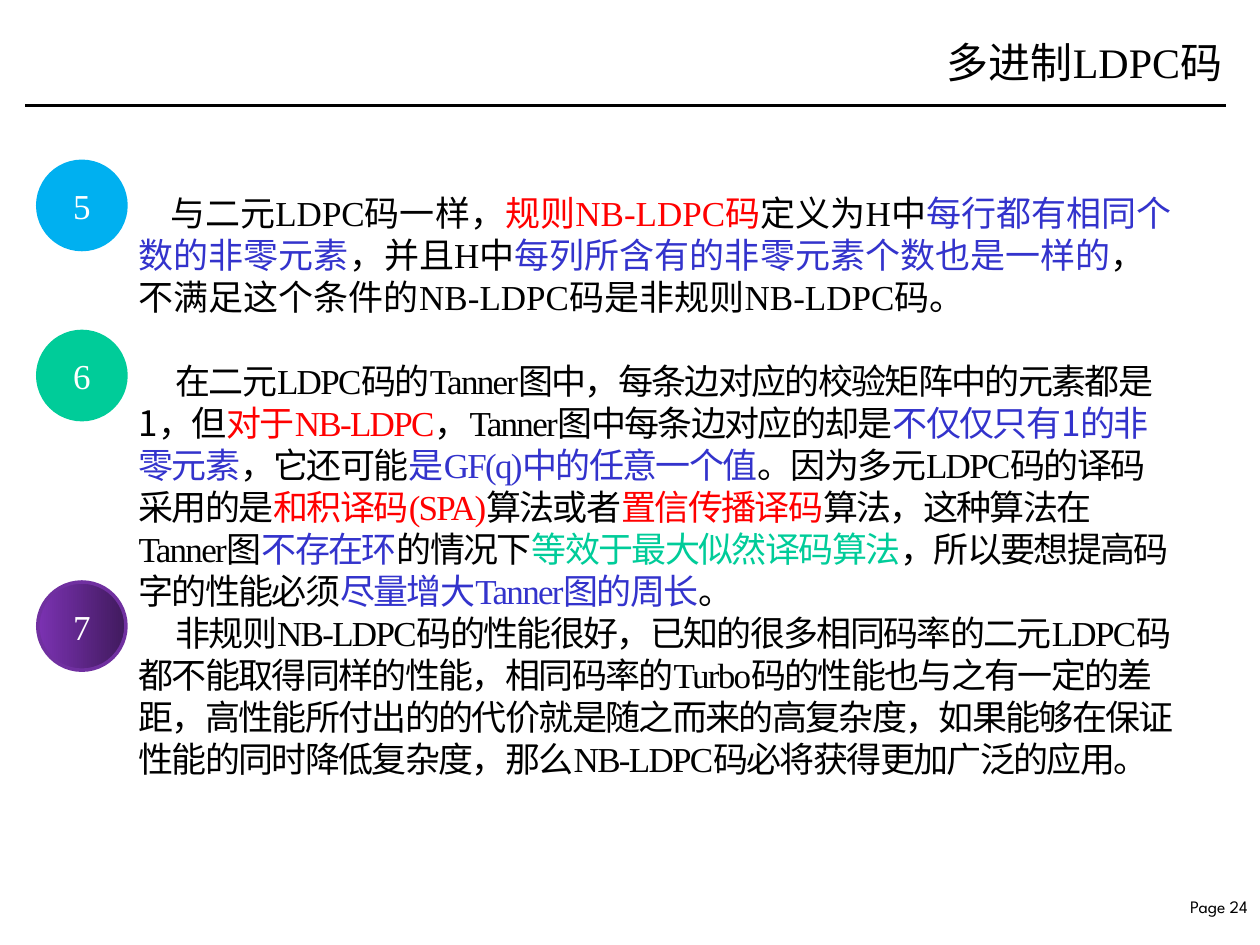
import itertools
from dataclasses import dataclass

import pptx
import pptx.dml.color
import pptx.enum.shapes
import pptx.enum.text
import pptx.oxml.ns
import pptx.util
from lxml import etree

Pt = pptx.util.Pt
qn = pptx.oxml.ns.qn
ALIGN = pptx.enum.text.PP_ALIGN
MIDDLE = pptx.enum.text.MSO_ANCHOR.MIDDLE


@dataclass(frozen=True)
class Theme:
    black: str = "000000"
    white: str = "FFFFFF"
    red: str = "FF0000"
    blue: str = "3333CC"
    green: str = "00CC99"
    sky: str = "00B0F0"
    plum: str = "7030A0"
    fade: tuple = ("7B32B2", "401A5D")
    serif: str = "Times New Roman"
    hans: str = "Noto Sans CJK SC"
    foot: str = "League Spartan"
    head_size: int = 24
    text_size: int = 20
    foot_size: int = 10
    pitch: int = 24


T = Theme()
K, R, B, G = T.black, T.red, T.blue, T.green

RULES = [
    (K, "与二元LDPC码一样，"), (R, "规则NB-LDPC码"), (K, "定义为H中"),
    (B, "每行都有相同个数的非零元素"), (K, "，并且H中"),
    (B, "每列所含有的非零元素个数也是一样的"),
    (K, "，不满足这个条件的NB-LDPC码是非规则NB-LDPC码。"),
]
GRAPH = [
    (K, "在二元LDPC码的Tanner图中，每条边对应的校验矩阵中的元素都是1，但"),
    (R, "对于NB-LDPC"), (K, "，Tanner图中每条边对应的却是"),
    (B, "不仅仅只有1的非零元素"), (K, "，它还可能"),
    (B, "是GF(q)中的任意一个值"), (K, "。因为多元LDPC码的译码采用的是"),
    (R, "和积译码(SPA)"), (K, "算法或者"), (R, "置信传播译码"),
    (K, "算法，这种算法在Tanner图"), (B, "不存在环"), (K, "的情况下"),
    (G, "等效于最大似然译码算法"), (K, "，所以要想提高码字的性能必须"),
    (B, "尽量增大Tanner图的周长"), (K, "。"),
]
VALUE = [
    (K, "非规则NB-LDPC码的性能很好，已知的很多相同码率的二元LDPC码都不能取得同样的性能，"
        "相同码率的Turbo码的性能也与之有一定的差距，高性能所付出的的代价就是随之而来的高复杂度，"
        "如果能够在保证性能的同时降低复杂度，那么NB-LDPC码必将获得更加广泛的应用。"),
]


def rgb(code):
    return pptx.dml.color.RGBColor.from_string(code)


def style(run, size, color, face):
    run.font.size = Pt(size)
    run.font.color.rgb = rgb(color)
    run.font.name = face
    east = etree.SubElement(run.font._element, qn("a:ea"))
    east.set("typeface", T.hans)


def place(shape, left, top, width, height):
    shape.left, shape.top = Pt(left), Pt(top)
    shape.width, shape.height = Pt(width), Pt(height)


def label(shape, text, align, size, color, face):
    frame = shape.text_frame
    frame.text = text
    frame.word_wrap = True
    line = frame.paragraphs[0]
    line.alignment = align
    style(line.runs[0], size, color, face)


def latin(char):
    return char.isascii() and not char.isdigit()


def fill_line(line, parts, indent, space, before):
    props = line._p.get_or_add_pPr()
    props.set("marL", "0")
    props.set("indent", str(Pt(indent)))
    etree.SubElement(props, qn("a:buNone"))
    line.line_spacing = Pt(T.pitch)
    line.space_before = Pt(before)
    line.space_after = Pt(0)
    for color, text in parts:
        for is_latin, chars in itertools.groupby(text, latin):
            run = line.add_run()
            run.text = "".join(chars)
            style(run, T.text_size, color, T.serif if is_latin else T.hans)
            if space:
                run.font._element.set("spc", str(space * 100))


def add_body(shape):
    place(shape, 72, 105.8, 607, 369.4)
    frame = shape.text_frame
    frame.word_wrap = True
    frame.auto_size = pptx.enum.text.MSO_AUTO_SIZE.NONE
    rows = [(RULES, 18, 0, 0), (GRAPH, 21, -1, T.pitch), (VALUE, 21, -1, 0)]
    for pos, row in enumerate(rows):
        line = frame.add_paragraph() if pos else frame.paragraphs[0]
        fill_line(line, *row)


def add_title(shape):
    place(shape, 350, 8, 355.6, 54)
    label(shape, "多进制LDPC码", ALIGN.RIGHT, T.head_size, T.black, T.serif)
    shape.text_frame.vertical_anchor = MIDDLE


def add_rule(slide):
    kind = pptx.enum.shapes.MSO_CONNECTOR.STRAIGHT
    rule = slide.shapes.add_connector(kind, Pt(14.4), Pt(60.4), Pt(700.4), Pt(60.4))
    rule.line.color.rgb = rgb(T.black)
    rule.line.width = Pt(2)
    etree.SubElement(rule._element.spPr, qn("a:effectLst"))


def add_badge(slide, text, top, color, fade=None):
    kind = pptx.enum.shapes.MSO_SHAPE.OVAL
    badge = slide.shapes.add_shape(kind, Pt(21.6), Pt(top), Pt(50.4), Pt(50.4))
    badge.shadow.inherit = False
    if fade:
        badge.fill.gradient()
        badge.fill.gradient_angle = 0
        for stop, code in zip(badge.fill.gradient_stops, fade):
            stop.color.rgb = rgb(code)
    else:
        badge.fill.solid()
        badge.fill.fore_color.rgb = rgb(color)
    badge.line.color.rgb = rgb(color)
    badge.line.width = Pt(2)
    badge.text_frame.vertical_anchor = MIDDLE
    label(badge, text, ALIGN.CENTER, T.text_size, T.white, T.serif)


def add_foot(slide):
    foot = slide.shapes.add_textbox(Pt(662.4), Pt(508.3), Pt(57.6), Pt(18.7))
    label(foot, "Page 24", ALIGN.RIGHT, T.foot_size, T.black, T.foot)


def main():
    deck = pptx.Presentation()
    deck.slide_width, deck.slide_height = Pt(720), Pt(540)
    slide = deck.slides.add_slide(deck.slide_layouts[1])
    add_foot(slide)
    add_rule(slide)
    add_body(slide.placeholders[1])
    add_title(slide.shapes.title)
    add_badge(slide, "5", 92.2, T.sky)
    add_badge(slide, "6", 189.4, T.green)
    add_badge(slide, "7", 332.6, T.plum, T.fade)
    deck.save("out.pptx")


if __name__ == "__main__":
    main()
